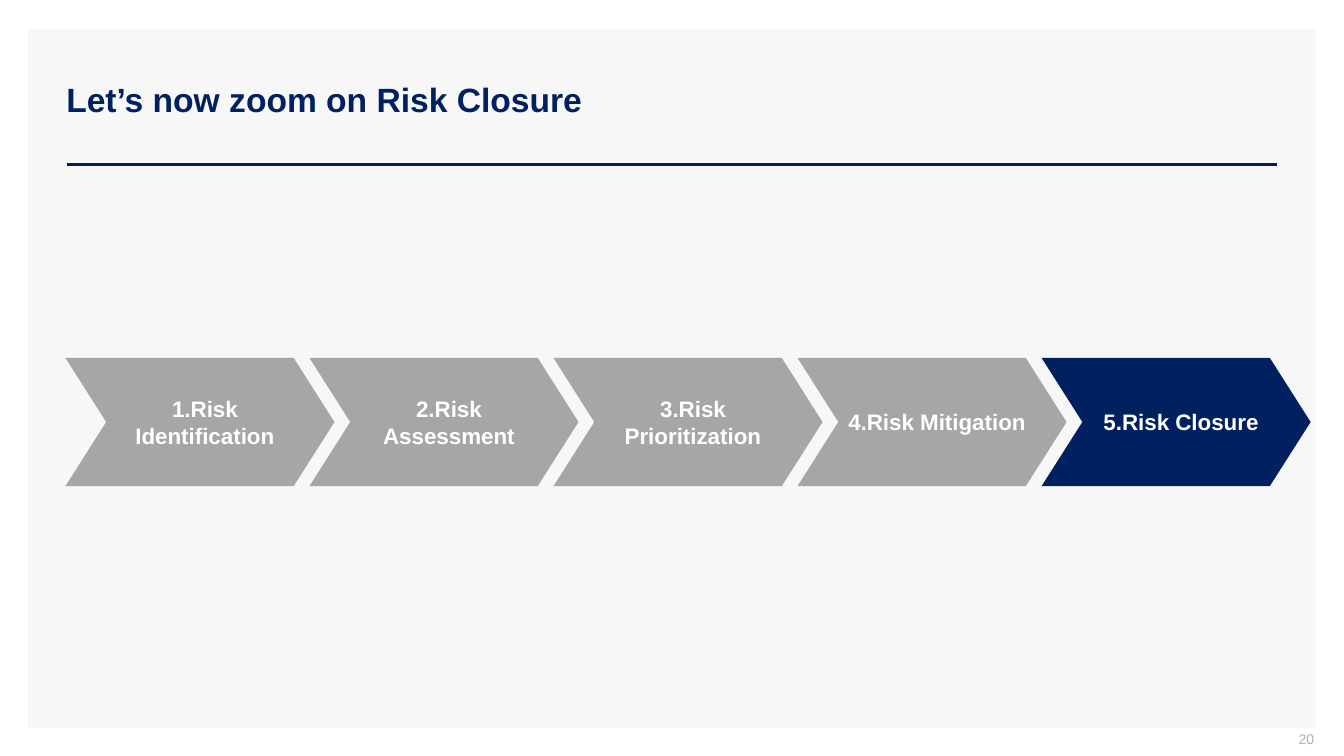
from typing import NamedTuple

from lxml import etree
from pptx import Presentation
from pptx.dml.color import RGBColor
from pptx.enum.shapes import MSO_CONNECTOR, MSO_SHAPE
from pptx.enum.text import MSO_ANCHOR, MSO_AUTO_SIZE, PP_ALIGN
from pptx.oxml.ns import qn
from pptx.util import Cm, Pt

RECTANGLE, CHEVRON = MSO_SHAPE.RECTANGLE, MSO_SHAPE.CHEVRON
STRAIGHT = MSO_CONNECTOR.STRAIGHT
MIDDLE = MSO_ANCHOR.MIDDLE
LEFT, CENTER, RIGHT = PP_ALIGN.LEFT, PP_ALIGN.CENTER, PP_ALIGN.RIGHT
NO_AUTOFIT = MSO_AUTO_SIZE.NONE

NAVY, GREY, PANEL, WHITE, PALE = "002060", "A6A6A6", "F7F7F7", "FFFFFF", "ADAFBB"


class Box(NamedTuple):
    left: float
    top: float
    width: float
    height: float

    def lengths(self) -> list:
        return [Cm(value) for value in self]


class Step(NamedTuple):
    label: str
    color: str = GREY


STEPS = [
    Step("1.Risk Identification"),
    Step("2.Risk Assessment"),
    Step("3.Risk Prioritization"),
    Step("4.Risk Mitigation"),
    Step("5.Risk Closure", NAVY),
]
FIRST_STEP = Box(1.65, 9.02, 6.78, 3.23)
STEP_PITCH = 6.15


def rgb(color: str) -> RGBColor:
    return RGBColor.from_string(color)


def write(shape, text: str, size: int, color: str, bold: bool, align, insets: Box):
    """Fill a shape with one formatted paragraph; insets run left, top, right, bottom."""
    frame = shape.text_frame
    left, top, right, bottom = insets.lengths()
    frame_format = {
        "word_wrap": True, "auto_size": NO_AUTOFIT, "vertical_anchor": MIDDLE,
        "margin_left": left, "margin_top": top,
        "margin_right": right, "margin_bottom": bottom,
    }
    for name, value in frame_format.items():
        setattr(frame, name, value)
    paragraph = frame.paragraphs[0]
    paragraph.alignment = align
    run = paragraph.add_run()
    run.text = text
    for name, value in {"name": "Arial", "size": Pt(size), "bold": bold}.items():
        setattr(run.font, name, value)
    run.font.color.rgb = rgb(color)
    return paragraph


def add_block(slide, kind, box: Box, color: str):
    shape = slide.shapes.add_shape(kind, *box.lengths())
    shape.shadow.inherit = False
    shape.fill.solid()
    shape.fill.fore_color.rgb = rgb(color)
    shape.line.fill.background()
    return shape


def add_rule(slide, left: float, right: float, top: float) -> None:
    rule = slide.shapes.add_connector(STRAIGHT, Cm(left), Cm(top), Cm(right), Cm(top))
    rule.line.color.rgb = rgb(NAVY)
    rule.line.width = Pt(2)
    etree.SubElement(rule.element.spPr, qn("a:effectLst"))


def add_title(slide, text: str, box: Box) -> None:
    title = slide.shapes.title
    title.left, title.top, title.width, title.height = box.lengths()
    paragraph = write(title, text, 24, NAVY, True, LEFT, Box(0.25, 0.13, 0.25, 0.13))
    paragraph.line_spacing = 0.9
    # Bring the title in front of the panel
    title.element.getparent().append(title.element)


def add_step(slide, step: Step, index: int) -> None:
    box = FIRST_STEP._replace(left=FIRST_STEP.left + index * STEP_PITCH)
    chevron = add_block(slide, CHEVRON, box, step.color)
    chevron.adjustments[0] = 0.318
    write(chevron, step.label, 16, WHITE, True, CENTER, Box(0.25, 0.13, 0, 0.13))


def main() -> None:
    presentation = Presentation()
    presentation.slide_width, presentation.slide_height = Cm(33.87), Cm(19.05)
    slide = presentation.slides.add_slide(presentation.slide_layouts[5])

    # Panel, heading and rule
    add_block(slide, RECTANGLE, Box(0.71, 0.74, 32.46, 17.6), PANEL)
    add_rule(slide, 1.68, 32.18, 4.14)
    add_title(slide, "Let’s now zoom on Risk Closure", Box(1.42, 1.02, 30.76, 3.08))

    # Page number
    number = slide.shapes.add_textbox(*Box(25.5, 18.42, 7.62, 0.53).lengths())
    write(number, "20", 10, PALE, False, RIGHT, Box(0.25, 0, 0, 0.13))

    # Process steps
    for index, step in enumerate(STEPS):
        add_step(slide, step, index)

    presentation.save("out.pptx")


if __name__ == "__main__":
    main()
